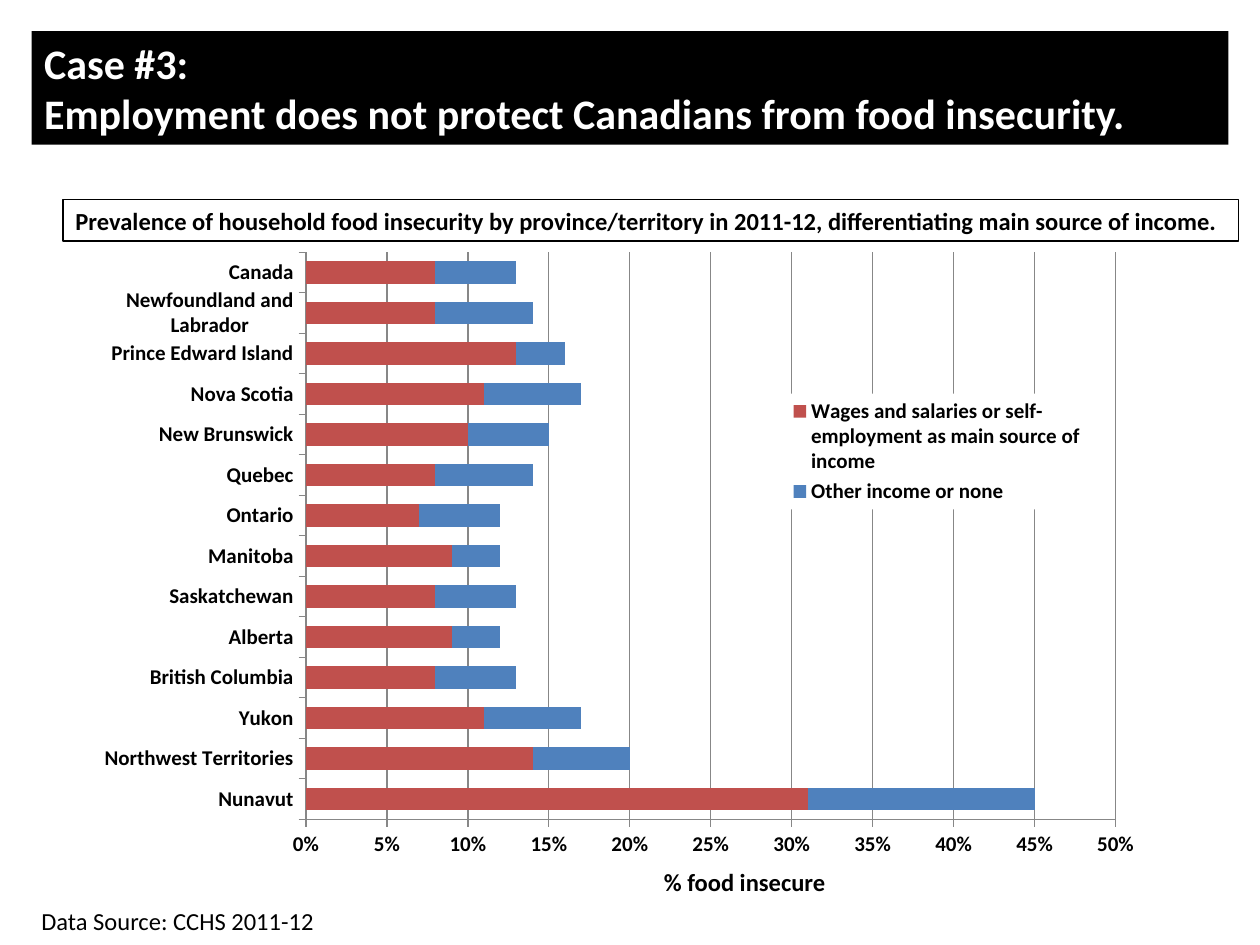
from dataclasses import dataclass

from lxml import etree
from pptx import Presentation, util as u
from pptx.chart.data import CategoryChartData
from pptx.dml.color import RGBColor
from pptx.enum import chart as charts, shapes, text
from pptx.oxml import parse_xml
from pptx.oxml.ns import nsdecls, qn

WIDTH, HEIGHT = u.Inches(10), u.Inches(7.5)
FONT = "Calibri"
COLORS = {"ink": "000000", "paper": "FFFFFF", "axis": "878787",
          "wages": "C0504D", "other": "4F81BD"}

# Province or territory, wage share and other share, bottom to top
PREVALENCE = [
    ("Nunavut", 0.31, 0.14),
    ("Northwest Territories", 0.14, 0.06),
    ("Yukon", 0.11, 0.06),
    ("British Columbia", 0.08, 0.05),
    ("Alberta", 0.09, 0.03),
    ("Saskatchewan", 0.08, 0.05),
    ("Manitoba", 0.09, 0.03),
    ("Ontario", 0.07, 0.05),
    ("Quebec", 0.08, 0.06),
    ("New Brunswick", 0.10, 0.05),
    ("Nova Scotia", 0.11, 0.06),
    ("Prince Edward Island", 0.13, 0.03),
    ("Newfoundland and Labrador", 0.08, 0.06),
    ("Canada", 0.08, 0.05),
]


@dataclass
class Box:
    """A rectangle in shares of the slide's size."""
    left: float
    top: float
    width: float
    height: float

    def place(self) -> tuple[int, int, int, int]:
        return (int(self.left * WIDTH), int(self.top * HEIGHT),
                int(self.width * WIDTH), int(self.height * HEIGHT))


@dataclass
class Label:
    words: str
    box: Box
    bold: bool = True
    framed: bool = False


LABELS = [
    Label("Data Source: CCHS 2011-12", Box(0.023, 0.952, 0.976, 0.044), bold=False),
    Label("% food insecure", Box(0.517, 0.911, 0.208, 0.044)),
    Label("Prevalence of household food insecurity by province/territory in 2011-12, "
          "differentiating main source of income.",
          Box(0.05, 0.211, 0.933, 0.044), framed=True),
]
TITLE_BOX = Box(0.025, 0.033, 0.95, 0.12)
CHART_BOX = Box(0.083, 0.223, 0.817, 0.699)


def color(name: str) -> RGBColor:
    return RGBColor.from_string(COLORS[name])


def style_font(font, size: float, name: str = "ink", bold: bool = True) -> None:
    font.name, font.size, font.bold = FONT, u.Pt(size), bold
    font.color.rgb = color(name)


def write(shape, words: str, size: float, name: str = "ink", bold: bool = True) -> None:
    frame = shape.text_frame
    frame.text = words
    frame.word_wrap = True
    frame.vertical_anchor = text.MSO_ANCHOR.TOP
    paragraph = frame.paragraphs[0]
    paragraph.alignment = text.PP_ALIGN.LEFT
    for run in paragraph.runs:
        style_font(run.font, size, name, bold)


def add_title(slide) -> None:
    title = slide.shapes.title
    title.left, title.top, title.width, title.height = TITLE_BOX.place()
    title.fill.solid()
    title.fill.fore_color.rgb = color("ink")
    write(title, "Case #3:\vEmployment does not protect Canadians from food insecurity.",
          24, "paper")
    title.text_frame.auto_size = text.MSO_AUTO_SIZE.NONE


def add_label(slide, label: Label) -> None:
    if label.framed:
        shape = slide.shapes.add_shape(shapes.MSO_SHAPE.RECTANGLE, *label.box.place())
        shape.shadow.inherit = False
        shape.fill.background()
        shape.line.color.rgb = color("ink")
        shape.line.width = 0
    else:
        shape = slide.shapes.add_textbox(*label.box.place())
    write(shape, label.words, 14, bold=label.bold)


def manual_layout(box: Box, target: str = "") -> etree._Element:
    """Chart layout in shares of the chart's size."""
    layout = parse_xml(f"<c:layout {nsdecls('c')}><c:manualLayout/></c:layout>")
    settings = {"layoutTarget": target} if target else {}
    settings |= {"xMode": "edge", "yMode": "edge", "x": box.left, "y": box.top,
                 "w": box.width, "h": box.height}
    for tag, value in settings.items():
        etree.SubElement(layout[0], qn(f"c:{tag}")).set("val", str(value))
    return layout


def white_fill() -> etree._Element:
    return parse_xml(f"<c:spPr {nsdecls('c', 'a')}><a:solidFill>"
                     f"<a:srgbClr val=\"{COLORS['paper']}\"/></a:solidFill></c:spPr>")


def style_axis(axis) -> None:
    axis.major_tick_mark = charts.XL_TICK_MARK.OUTSIDE
    axis.minor_tick_mark = charts.XL_TICK_MARK.NONE
    style_font(axis.tick_labels.font, 12)
    lines = [axis.format.line]
    if axis.has_major_gridlines:
        lines.append(axis.major_gridlines.format.line)
    for line in lines:
        line.color.rgb = color("axis")
        line.width = u.Pt(0.75)


def add_prevalence_chart(slide) -> None:
    names, wages, other = zip(*PREVALENCE)
    data = CategoryChartData(number_format="0%")
    data.categories = names
    data.add_series("Wages and salaries or self-employment as main source of income", wages)
    data.add_series("Other income or none", other)
    chart = slide.shapes.add_chart(charts.XL_CHART_TYPE.BAR_STACKED,
                                   *CHART_BOX.place(), data).chart
    chart.has_title = False
    chart.font.name, chart.font.size = "Arial", u.Pt(10)
    chart.font.color.rgb = color("ink")

    # Bars
    plot = chart.plots[0]
    plot.gap_width, plot.overlap, plot.vary_by_categories = 80, 100, False
    for series, name in zip(plot.series, ("wages", "other")):
        series.format.fill.solid()
        series.format.fill.fore_color.rgb = color(name)

    # Axes
    scale = chart.value_axis
    scale.minimum_scale, scale.maximum_scale, scale.major_unit = 0, 0.5, 0.05
    scale.has_major_gridlines = True
    scale.tick_labels.number_format = "0%"
    scale.tick_labels.number_format_is_linked = False
    for axis in (chart.category_axis, scale):
        style_axis(axis)

    # Legend over the plot, on white
    chart.has_legend = True
    legend = chart.legend
    legend.position = charts.XL_LEGEND_POSITION.RIGHT
    legend.include_in_layout = False
    style_font(legend.font, 12)
    element = legend._element
    for old in element.findall(qn("c:layout")):
        element.remove(old)
    element.find(qn("c:legendPos")).addnext(manual_layout(Box(0.666, 0.277, 0.285, 0.175)))
    element.find(qn("c:overlay")).addnext(white_fill())

    # Plot area
    area = chart._chartSpace.find(f".//{qn('c:plotArea')}")
    for old in area.findall(qn("c:layout")):
        area.remove(old)
    area.insert(0, manual_layout(Box(0, 0.063, 1, 0.915), "outer"))
    area.append(white_fill())


def main() -> None:
    presentation = Presentation()
    presentation.slide_width, presentation.slide_height = WIDTH, HEIGHT
    slide = presentation.slides.add_slide(presentation.slide_layouts[5])
    add_title(slide)
    add_prevalence_chart(slide)
    for label in LABELS:
        add_label(slide, label)
    presentation.save("out.pptx")


if __name__ == "__main__":
    main()
